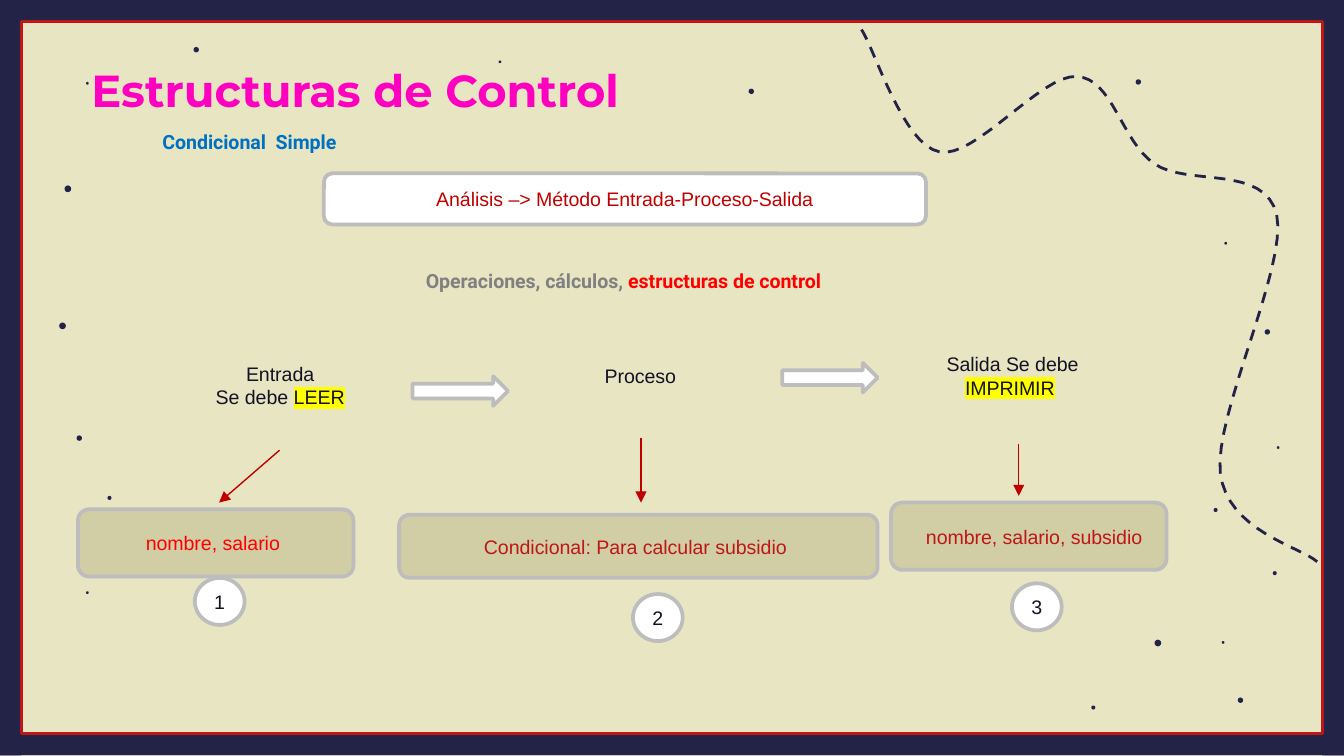
"""Build the slide on control structures: input, process and output."""
from dataclasses import dataclass
from typing import NamedTuple

from lxml import etree
from pptx import Presentation
from pptx.dml.color import RGBColor
from pptx.enum.dml import MSO_LINE
from pptx.enum.shapes import MSO_CONNECTOR, MSO_SHAPE
from pptx.enum.text import MSO_ANCHOR, MSO_AUTO_SIZE, PP_ALIGN
from pptx.oxml.ns import qn
from pptx.util import Pt

RECT, ROUND = MSO_SHAPE.RECTANGLE, MSO_SHAPE.ROUNDED_RECTANGLE
OVAL, ARROW = MSO_SHAPE.OVAL, MSO_SHAPE.RIGHT_ARROW
STRAIGHT, DASH = MSO_CONNECTOR.STRAIGHT, MSO_LINE.DASH
LEFT, CENTER, JUSTIFY = PP_ALIGN.LEFT, PP_ALIGN.CENTER, PP_ALIGN.JUSTIFY
MIDDLE, TOP = MSO_ANCHOR.MIDDLE, MSO_ANCHOR.TOP
GROW, FIXED = MSO_AUTO_SIZE.SHAPE_TO_FIT_TEXT, MSO_AUTO_SIZE.NONE
SCALE = 9144
WIDE = 1000
EDGE = 16
STEPS = 16


@dataclass(frozen=True)
class Theme:
    sand: str = "E8E5C3"
    khaki: str = "D1CEA6"
    navy: str = "232347"
    ink: str = "121224"
    brick: str = "BD1717"
    wine: str = "C00000"
    red: str = "FF0000"
    pink: str = "FF00C1"
    blue: str = "0070C0"
    gray: str = "808080"
    silver: str = "BDBDBD"
    white: str = "FFFFFF"
    marker: str = "FFFF00"
    body: str = "Arial"
    label: str = "Roboto"
    head: str = "Montserrat"
    small: float = 10.5
    large: float = 24
    thin: float = 0.75
    mid: float = 1.5
    thick: float = 2


THEME = Theme()


class Box(NamedTuple):
    left: int
    top: int
    width: int
    height: int


class Run(NamedTuple):
    text: str
    color: str = THEME.ink
    font: str = THEME.body
    size: float = THEME.small
    bold: bool = False
    mark: str = ""


class Node(NamedTuple):
    kind: int
    box: Box
    fill: str = ""
    line: str = ""
    lines: tuple = ()
    inset: int = 10
    weight: float = THEME.thick


class Link(NamedTuple):
    start: tuple
    end: tuple


class Dot(NamedTuple):
    left: int
    top: int
    size: int


def emu(*values: float) -> list:
    return [round(value * SCALE) for value in values]


def rgb(color: str) -> RGBColor:
    return RGBColor.from_string(color)


def write(shape, lines: tuple, align, anchor=MIDDLE, inset: int = 10, fit=FIXED) -> None:
    frame = shape.text_frame
    frame.word_wrap, frame.auto_size = True, fit
    frame.vertical_anchor = anchor
    frame.margin_left, frame.margin_right = emu(inset, min(inset, 10))
    frame.margin_top = frame.margin_bottom = emu(5)[0]
    for index, line in enumerate(lines):
        para = frame.add_paragraph() if index else frame.paragraphs[0]
        para.alignment = align
        for item in line:
            run = para.add_run()
            run.text = item.text
            font = run.font
            font.name, font.size, font.bold = item.font, Pt(item.size), item.bold
            font.color.rgb = rgb(item.color)
            if item.mark:
                mark = etree.Element(qn("a:highlight"))
                etree.SubElement(mark, qn("a:srgbClr"), val=item.mark)
                run._r.rPr.find(qn("a:solidFill")).addnext(mark)


def paint(shape, fill: str, line: str, weight: float) -> None:
    shape.shadow.inherit = False
    if fill:
        shape.fill.solid()
        shape.fill.fore_color.rgb = rgb(fill)
    else:
        shape.fill.background()
    if line:
        shape.line.color.rgb = rgb(line)
        shape.line.width = Pt(weight)
    else:
        shape.line.fill.background()


def draw(slide, node: Node) -> None:
    shape = slide.shapes.add_shape(node.kind, *emu(*node.box))
    paint(shape, node.fill, node.line, node.weight)
    if node.lines:
        write(shape, node.lines, CENTER, inset=node.inset)


def join(slide, link: Link) -> None:
    line = slide.shapes.add_connector(STRAIGHT, *emu(*link.start, *link.end))
    line.line.color.rgb = rgb(THEME.wine)
    line.line.width = Pt(THEME.thin)
    etree.SubElement(line.line._get_or_add_ln(), qn("a:tailEnd"), type="triangle")
    etree.SubElement(line._element.spPr, qn("a:effectLst"))


def trail(slide, knots: list) -> None:
    points = [knots[0]]
    for first in range(0, len(knots) - 1, 3):
        a, b, c, d = knots[first:first + 4]
        for step in range(1, STEPS + 1):
            t = step / STEPS
            u = 1 - t
            points.append([u**3 * a[i] + 3 * u * u * t * b[i] + 3 * u * t * t * c[i] + t**3 * d[i]
                           for i in (0, 1)])
    path_pts = [emu(*point) for point in points]
    form = slide.shapes.build_freeform(*path_pts[0])
    form.add_line_segments(path_pts[1:], close=False)
    shape = form.convert_to_shape()
    paint(shape, "", THEME.navy, THEME.mid)
    shape.line.dash_style = DASH


def note(slide, box: Box, *runs: Run) -> None:
    shape = slide.shapes.add_textbox(*emu(*box))
    write(shape, (runs,), JUSTIFY, TOP, fit=GROW)


def step(left: int, top: int, *lines: tuple) -> Node:
    return Node(OVAL, Box(left, top, 197, 97), THEME.sand, THEME.sand, lines)


def card(box: Box, run: Run, fill: str = THEME.khaki, inset: int = 10) -> Node:
    return Node(ROUND, box, fill, THEME.silver, ((run,),), inset)


def badge(left: int, top: int, text: str) -> Node:
    return Node(OVAL, Box(left, top, 37, 35), THEME.white, THEME.silver, ((Run(text),),), 0)


KNOTS = [(641, 22), (651, 37), (672, 108), (699, 113), (725, 119), (775, 55), (801, 57),
         (828, 58), (834, 105), (859, 122), (884, 139), (941, 122), (950, 160),
         (958, 199), (903, 309), (908, 352), (913, 395), (968, 407), (980, 418)]
DOTS = [Dot(*spot) for spot in (
    (859, 476, 5), (48, 138, 5), (44, 240, 5), (80, 369, 3), (903, 378, 3), (947, 425, 3),
    (557, 66, 4), (921, 519, 4), (941, 245, 4), (57, 324, 4), (845, 59, 4), (144, 35, 4),
    (812, 525, 3), (909, 477, 2), (911, 180, 2), (371, 45, 2), (64, 440, 2), (950, 332, 2),
    (64, 61, 2))]
BANDS = [Box(0, 0, WIDE, EDGE), Box(0, 546, WIDE, EDGE),
         Box(0, 0, EDGE, 562), Box(WIDE - EDGE, 0, EDGE, 562)]
NODES = [
    step(110, 238, (Run("Entrada"),), (Run("Se debe "), Run("LEER", mark=THEME.marker))),
    step(378, 231, (Run("Proceso"),)),
    step(655, 231, (Run("Salida Se debe "), Run("IMPRIMIR", mark=THEME.marker), Run(" "))),
    card(Box(241, 129, 448, 38), Run("Análisis –> Método Entrada-Proceso-Salida", THEME.wine),
         THEME.white),
    *(Node(ARROW, Box(left, top, 71, 22), THEME.white, THEME.silver)
      for left, top in ((307, 280), (582, 270))),
    card(Box(58, 379, 205, 50), Run("nombre, salario ", THEME.red)),
    card(Box(297, 383, 356, 47), Run("Condicional: Para calcular subsidio ", THEME.brick)),
    card(Box(663, 374, 205, 50), Run("nombre, salario, subsidio", THEME.brick), inset=18),
    badge(145, 430, "1"), badge(471, 442, "2"), badge(753, 434, "3"),
]
LINKS = [Link((208, 335), (163, 374)), Link((477, 326), (477, 374)), Link((758, 330), (758, 369))]


def main() -> None:
    deck = Presentation()
    deck.slide_width = WIDE * SCALE
    deck.slide_height = deck.slide_width * 9 // 16
    slide = deck.slides.add_slide(deck.slide_layouts[5])
    slide.background.fill.solid()
    slide.background.fill.fore_color.rgb = rgb(THEME.sand)
    title = slide.shapes.title
    title.left, title.top, title.width, title.height = emu(58, 42, 509, 50)
    write(title, ((Run("Estructuras de Control", THEME.pink, THEME.head, THEME.large, True),),), LEFT)
    for band in BANDS:
        draw(slide, Node(RECT, band, THEME.navy))
    draw(slide, Node(RECT, Box(16, 16, 968, 530), line=THEME.brick, weight=THEME.mid))
    trail(slide, KNOTS)
    for dot in DOTS:
        draw(slide, Node(OVAL, Box(dot.left, dot.top, dot.size, dot.size), THEME.navy))
    note(slide, Box(111, 92, 355, 28),
         Run("Condicional  Simple", THEME.blue, THEME.label, bold=True))
    for node in NODES:
        draw(slide, node)
    for link in LINKS:
        join(slide, link)
    note(slide, Box(307, 195, 674, 28),
         Run("Operaciones, cálculos, ", THEME.gray, THEME.label, bold=True),
         Run("estructuras de control", THEME.red, THEME.label, bold=True))
    deck.save("out.pptx")


if __name__ == "__main__":
    main()
